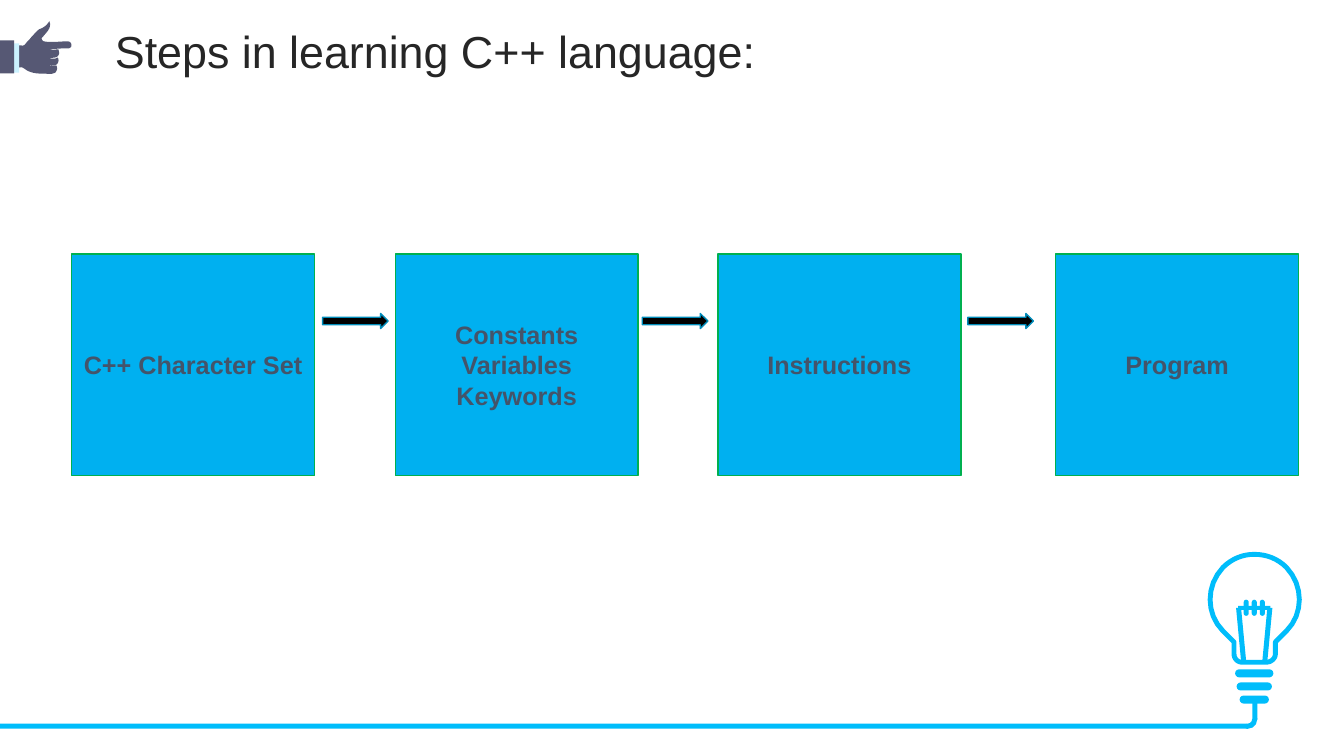
import pptx
import pptx.util
from pptx.dml.color import RGBColor
from pptx.enum.shapes import MSO_SHAPE
from pptx.enum.text import MSO_ANCHOR, MSO_AUTO_SIZE, PP_ALIGN
from pptx.util import Inches

WHITE = RGBColor(0xFF, 0xFF, 0xFF)
BLACK = RGBColor(0x00, 0x00, 0x00)
BULB_BLUE = RGBColor(0x00, 0xBD, 0xFB)
BOX_BLUE = RGBColor(0x00, 0xB0, 0xF0)
BOX_GREEN = RGBColor(0x00, 0xB0, 0x50)
ARROW_BLUE = RGBColor(0x00, 0x8C, 0xBA)
TITLE_GREY = RGBColor(0x26, 0x26, 0x26)
STEP_GREY = RGBColor(0x44, 0x54, 0x6A)
HAND_GREY = RGBColor(0x56, 0x58, 0x74)
CUFF_BLUE = RGBColor(0xCB, 0xF2, 0xFF)

# Each step: left edge and label; each arrow: left edge.
STEPS = [
    (0.71, "C++ Character Set"),
    (3.92, "Constants\nVariables\nKeywords"),
    (7.12, "Instructions"),
    (10.47, "Program"),
]
ARROWS = [3.2, 6.37, 9.6]

# Outlines, relative to their region: a pair is a line end,
# six numbers are two control points and a curve end.
BULB = [
    (0.44, 0), (0.56, 0, 0.67, 0.04, 0.76, 0.13),
    (0.93, 0.31, 0.93, 0.59, 0.76, 0.76), (0.65, 0.87), (0.65, 0.99),
    (0.65, 1.03, 0.61, 1.07, 0.56, 1.07), (0.32, 1.07),
    (0.27, 1.07, 0.24, 1.03, 0.24, 0.99), (0.24, 0.87), (0.13, 0.76),
    (-0.04, 0.59, -0.04, 0.31, 0.13, 0.13), (0.22, 0.04, 0.33, 0, 0.44, 0),
]
HAND = [
    (0.49, 0.0), (0.46, 0.05, 0.42, 0.07, 0.39, 0.08),
    (0.36, 0.1, 0.34, 0.13, 0.31, 0.16), (0.28, 0.2, 0.26, 0.21, 0.25, 0.23),
    (0.23, 0.25, 0.22, 0.24, 0.19, 0.24), (0.19, 0.46),
    (0.21, 0.46, 0.21, 0.45, 0.24, 0.47), (0.31, 0.53, 0.42, 0.52, 0.45, 0.52),
    (0.5, 0.53, 0.53, 0.52, 0.55, 0.51), (0.57, 0.48, 0.57, 0.47, 0.56, 0.44),
    (0.54, 0.45, 0.51, 0.44, 0.49, 0.44), (0.49, 0.43, 0.55, 0.45, 0.56, 0.43),
    (0.58, 0.42, 0.59, 0.38, 0.57, 0.36), (0.55, 0.38, 0.52, 0.37, 0.49, 0.37),
    (0.49, 0.36, 0.55, 0.37, 0.57, 0.35), (0.59, 0.33, 0.59, 0.32, 0.58, 0.28),
    (0.55, 0.28, 0.53, 0.29, 0.49, 0.28), (0.6, 0.27, 0.64, 0.27, 0.68, 0.27),
    (0.72, 0.27, 0.72, 0.2, 0.67, 0.2), (0.62, 0.2, 0.43, 0.22, 0.42, 0.19),
    (0.41, 0.17, 0.41, 0.17, 0.43, 0.15), (0.45, 0.12, 0.52, 0.07, 0.49, 0.0),
]


def style(sp, fill, line=None, width=1):
    sp.shadow.inherit = False
    sp.fill.solid()
    sp.fill.fore_color.rgb = fill
    if line is None:
        sp.line.fill.background()
    else:
        sp.line.color.rgb = line
        sp.line.width = pptx.util.Pt(width)
    return sp


def add_preset(s, kind, box, fill, line=None):
    sp = s.shapes.add_shape(kind, *(Inches(v) for v in box))
    return style(sp, fill, line)


def flatten(outline, steps=8):
    """Turn lines and cubic curves into a list of points."""
    points = [outline[0]]
    for seg in outline[1:]:
        if len(seg) == 2:
            points.append(seg)
            continue
        x0, y0 = points[-1]
        x1, y1, x2, y2, x3, y3 = seg
        for i in range(1, steps + 1):
            t = i / steps
            a, b, c, d = (1 - t) ** 3, 3 * t * (1 - t) ** 2, 3 * t * t * (1 - t), t ** 3
            points.append((a * x0 + b * x1 + c * x2 + d * x3,
                           a * y0 + b * y1 + c * y2 + d * y3))
    return points


def add_outline(s, left, top, outline, fill, line=None, width=1):
    points = [(Inches(left + x), Inches(top + y)) for x, y in flatten(outline)]
    builder = s.shapes.build_freeform(*points[0])
    builder.add_line_segments(points[1:], close=True)
    return style(builder.convert_to_shape(), fill, line, width)


def add_bulb(s, left, top):
    """Light bulb with its cord running to the left edge of the slide."""
    add_outline(s, left, top, BULB, WHITE, BULB_BLUE, 3.5)
    middle = left + 0.44

    for side in (-1, 1):
        rod = [(side * x, y) for x, y in
               [(0.18, 0.53), (0.13, 0.53), (0.08, 1.06), (0.13, 1.06)]]
        add_outline(s, middle, top, rod, BULB_BLUE)
    add_preset(s, MSO_SHAPE.RECTANGLE, (middle - 0.16, top + 0.51, 0.32, 0.04), BULB_BLUE)
    pills = [(0.08 * i, 0.45, 0.05, 0.16) for i in (-1, 0, 1)]
    pills += [(0, 1.14 + 0.13 * i, w, 0.08) for i, w in enumerate((0.38, 0.35, 0.29))]
    for dx, dy, w, h in pills:
        sp = add_preset(s, MSO_SHAPE.ROUNDED_RECTANGLE,
                        (middle + dx - w / 2, top + dy, w, h), BULB_BLUE)
        sp.adjustments[0] = 0.5

    add_preset(s, MSO_SHAPE.RECTANGLE, (0, top + 1.68, middle - 0.07, 0.05), BULB_BLUE)
    add_preset(s, MSO_SHAPE.RECTANGLE, (middle - 0.02, top + 1.47, 0.05, 0.17), BULB_BLUE)
    bend = add_preset(s, MSO_SHAPE.BLOCK_ARC,
                      (middle - 0.16, top + 1.54, 0.19, 0.19), BULB_BLUE)
    for i, value in enumerate((213.39, 60.92, 0.27)):
        bend.adjustments[i] = value


def add_hand(s, left, top):
    add_outline(s, left, top, HAND, HAND_GREY)
    add_preset(s, MSO_SHAPE.RECTANGLE, (left + 0.12, top + 0.22, 0.07, 0.29), CUFF_BLUE)
    add_preset(s, MSO_SHAPE.RECTANGLE, (left, top + 0.19, 0.14, 0.33), HAND_GREY)


def format_text(tf, size, color, align, bold=False):
    tf.word_wrap = True
    tf.vertical_anchor = MSO_ANCHOR.MIDDLE
    for p in tf.paragraphs:
        p.alignment = align
        for r in p.runs:
            r.font.name = "Arial"
            r.font.size = pptx.util.Pt(size)
            r.font.bold = bold
            r.font.color.rgb = color


def set_title(s, text, box):
    title = s.shapes.title
    title.left, title.top, title.width, title.height = (Inches(v) for v in box)
    tf = title.text_frame
    tf.text = text
    tf.auto_size = MSO_AUTO_SIZE.NONE
    tf.paragraphs[0].line_spacing = 0.9
    format_text(tf, 32, TITLE_GREY, PP_ALIGN.LEFT)


def add_steps(s, top):
    for left, label in STEPS:
        sp = add_preset(s, MSO_SHAPE.RECTANGLE, (left, top, 2.41, 2.2), BOX_BLUE, BOX_GREEN)
        sp.text_frame.text = label
        format_text(sp.text_frame, 18, STEP_GREY, PP_ALIGN.CENTER, bold=True)
    for left in ARROWS:
        add_preset(s, MSO_SHAPE.RIGHT_ARROW, (left, top + 0.59, 0.65, 0.15), BLACK, ARROW_BLUE)


def main():
    prs = pptx.Presentation()
    prs.slide_width, prs.slide_height = Inches(13.33), Inches(7.5)
    s = prs.slides.add_slide(prs.slide_layouts[5])
    add_bulb(s, 12, 5.5)
    set_title(s, "Steps in learning C++ language:", (1.04, 0.13, 11.97, 0.81))
    add_hand(s, 0, 0.21)
    add_steps(s, 2.52)
    prs.save("out.pptx")


if __name__ == "__main__":
    main()
